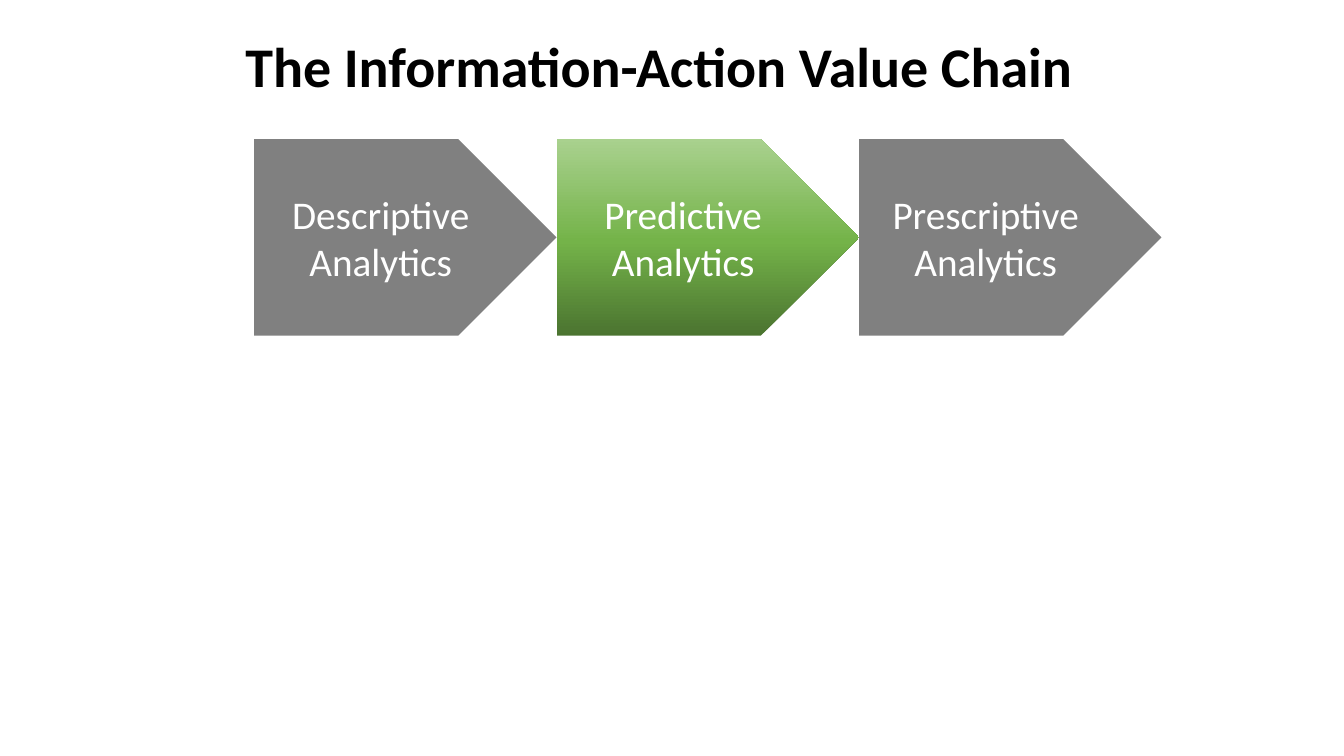
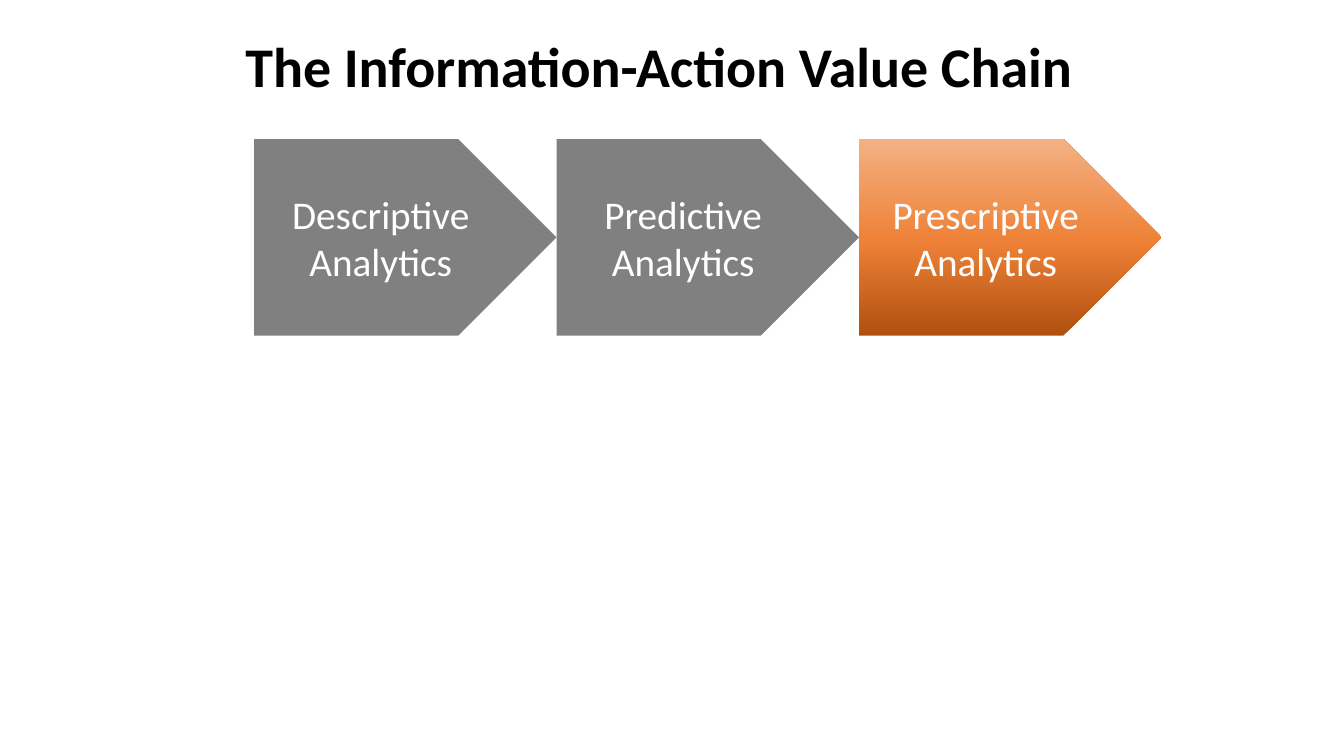
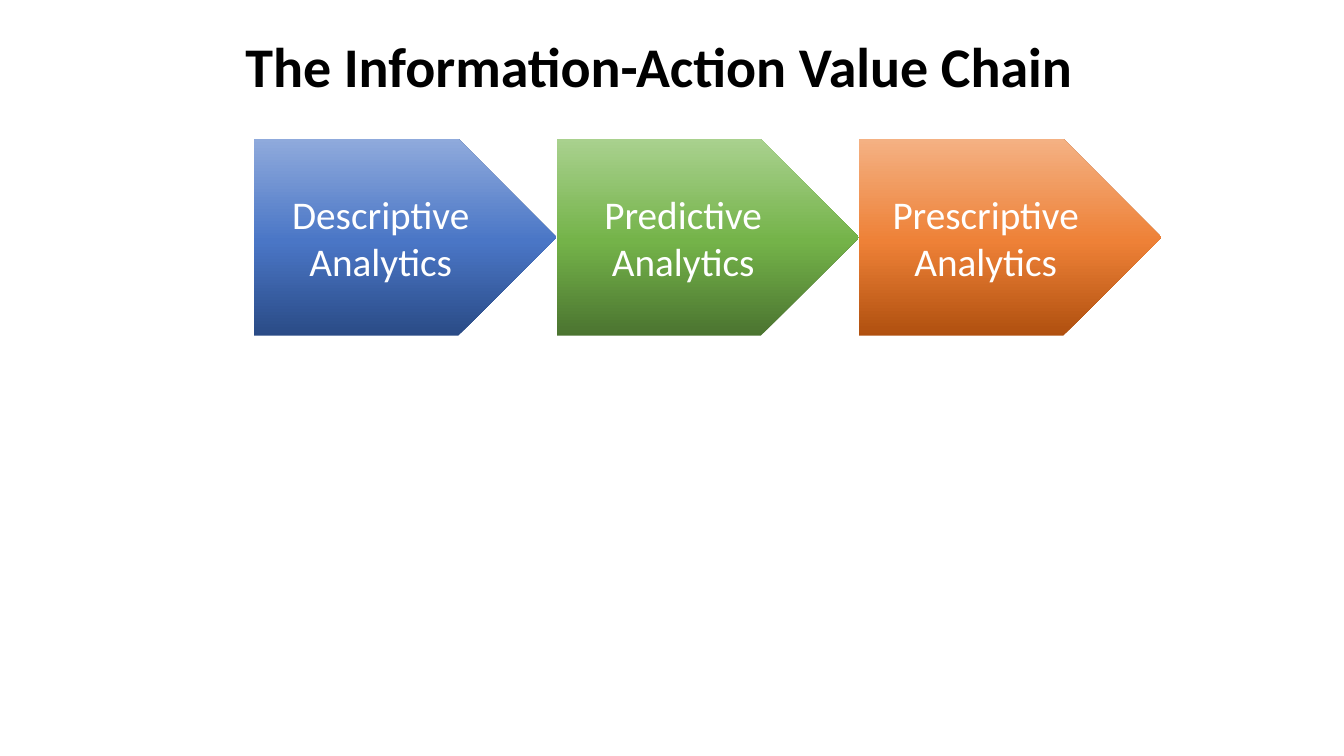
"""Build three slides that step through the information-action value chain."""
import copy
import dataclasses

import pptx
import pptx.dml.color
import pptx.enum.shapes
import pptx.enum.text
import pptx.oxml.ns
import pptx.util

Inches = pptx.util.Inches
Pt = pptx.util.Pt
RGB = pptx.dml.color.RGBColor.from_string
ALIGN = pptx.enum.text.PP_ALIGN
ANCHOR = pptx.enum.text.MSO_ANCHOR
AUTO_SIZE = pptx.enum.text.MSO_AUTO_SIZE


@dataclasses.dataclass(frozen=True)
class Theme:
    font: str = "Calibri"
    title_size: int = 40
    stage_size: int = 28
    title_color: str = "000000"
    stage_color: str = "FFFFFF"
    muted: str = "808080"
    blue: tuple = ("2A4B86", "4A76C6", "8FAADC")
    green: tuple = ("4B7430", "74B349", "A9D18E")
    orange: tuple = ("B0500F", "EE8137", "F4B183")
    stops: tuple = (0, 0.48, 1)


theme = Theme()

TITLE = "The Information-Action Value Chain"
STAGES = [
    ("Descriptive Analytics", theme.blue),
    ("Predictive Analytics", theme.green),
    ("Prescriptive Analytics", theme.orange),
]
HIGHLIGHTS = [{1}, {2}, {0, 1, 2}]
CHAIN_LEFT, CHAIN_TOP = 2.52, 1.38
STAGE_WIDTH, STAGE_HEIGHT = 3, 1.95

TITLE_FRAME = {"word_wrap": True, "vertical_anchor": ANCHOR.TOP,
               "auto_size": AUTO_SIZE.SHAPE_TO_FIT_TEXT}
STAGE_FRAME = {"word_wrap": True, "vertical_anchor": ANCHOR.MIDDLE}
TITLE_FONT = {"name": theme.font, "size": Pt(theme.title_size), "bold": True}
STAGE_FONT = {"name": theme.font, "size": Pt(theme.stage_size)}


def write(shape, text, frame_format, font_format, color):
    frame = shape.text_frame
    frame.text = text
    paragraph = frame.paragraphs[0]
    paragraph.alignment = ALIGN.CENTER
    font = paragraph.runs[0].font
    for target, values in ((frame, frame_format), (font, font_format)):
        for name, value in values.items():
            setattr(target, name, value)
    font.color.rgb = RGB(color)


def fill_gradient(shape, colors):
    shape.fill.gradient()
    shape.fill.gradient_angle = 90
    stop_list = next(shape.element.iter(pptx.oxml.ns.qn("a:gsLst")))
    stop_list.append(copy.deepcopy(stop_list[-1]))
    for stop, position, color in zip(shape.fill.gradient_stops, theme.stops, colors):
        stop.position = position
        stop.color.rgb = RGB(color)


prs = pptx.Presentation()
prs.slide_width, prs.slide_height = Inches(13.33), Inches(7.5)
title_only = prs.slide_layouts.get_by_name("Title Only")

for highlighted in HIGHLIGHTS:
    slide = prs.slides.add_slide(title_only)
    title = slide.shapes.title
    title.left, title.top = Inches(1.76), Inches(0.26)
    title.width, title.height = Inches(9.55), Inches(0.77)
    write(title, TITLE, TITLE_FRAME, TITLE_FONT, theme.title_color)

    for index, (label, colors) in enumerate(STAGES):
        stage = slide.shapes.add_shape(
            pptx.enum.shapes.MSO_SHAPE.PENTAGON,
            Inches(CHAIN_LEFT + index * STAGE_WIDTH), Inches(CHAIN_TOP),
            Inches(STAGE_WIDTH), Inches(STAGE_HEIGHT))
        stage.shadow.inherit = False
        stage.line.fill.background()
        if index in highlighted:
            fill_gradient(stage, colors)
        else:
            stage.fill.solid()
            stage.fill.fore_color.rgb = RGB(theme.muted)
        write(stage, label, STAGE_FRAME, STAGE_FONT, theme.stage_color)

prs.save("out.pptx")
